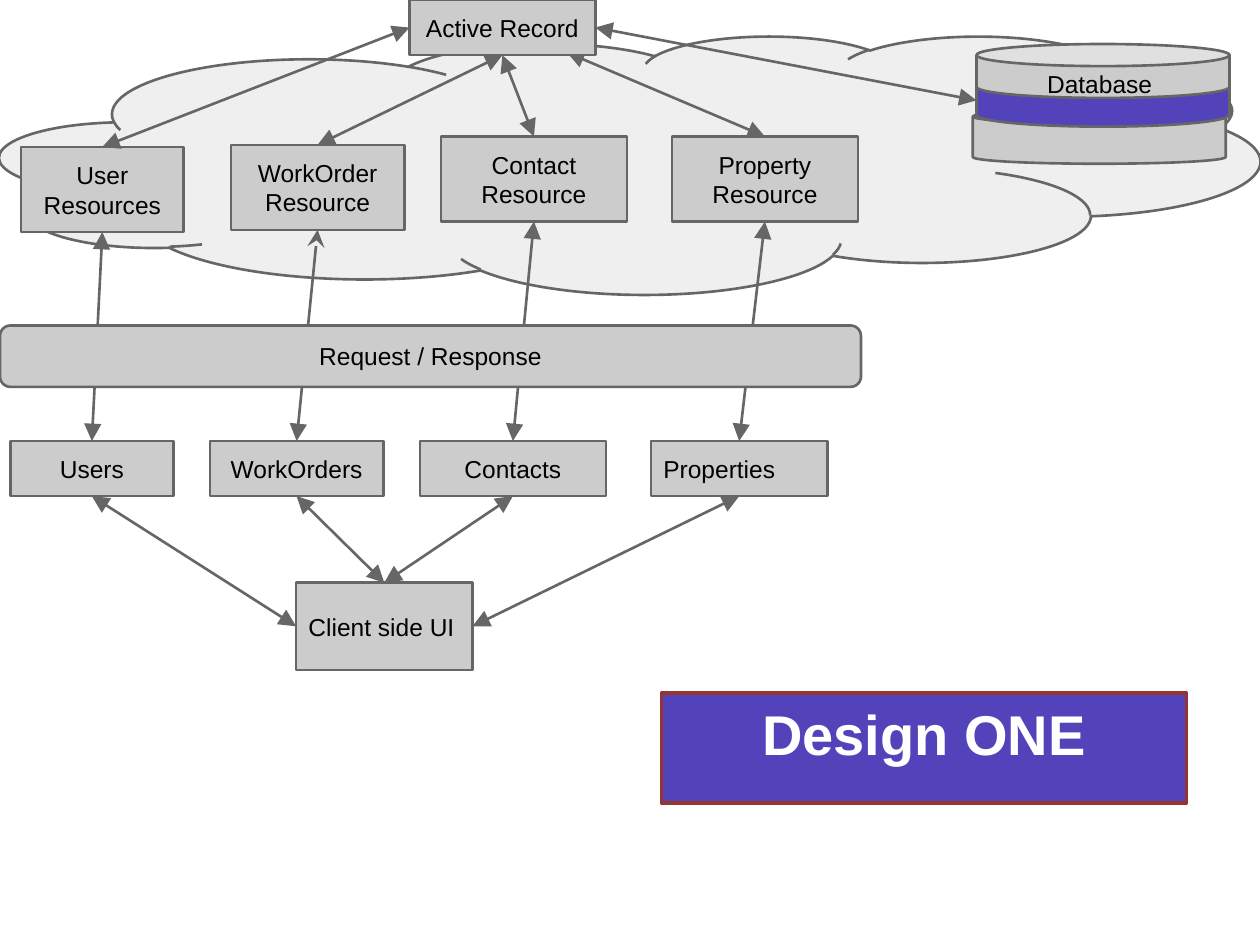
from lxml.etree import SubElement
from pptx import Presentation
from pptx.dml.color import RGBColor
from pptx.enum.shapes import MSO_CONNECTOR as Connector, MSO_SHAPE as Shape
from pptx.enum.text import MSO_ANCHOR as Anchor, PP_ALIGN as Align
from pptx.oxml.ns import qn
from pptx.util import Inches, Pt

BLACK = RGBColor(0, 0, 0)
WHITE = RGBColor(255, 255, 255)
GREY = RGBColor(0xCC, 0xCC, 0xCC)
PALE = RGBColor(0xEF, 0xEF, 0xEF)
EDGE = RGBColor(0x66, 0x66, 0x66)
VIOLET = RGBColor(0x52, 0x43, 0xBB)
MAROON = RGBColor(0x96, 0x33, 0x34)

COLUMNS, ROWS = 120, 90
TOP, LEFT, BOTTOM, RIGHT = range(4)

prs = Presentation()
prs.slide_width, prs.slide_height = Inches(10), Inches(7.5)
slide = prs.slides.add_slide(prs.slide_layouts[6])


def grid(across, down):
    """Turn grid columns and rows into slide lengths."""
    return int(prs.slide_width * across / COLUMNS), int(prs.slide_height * down / ROWS)


def write(holder, text, size=14, color=BLACK, bold=False, align=Align.CENTER,
          anchor=Anchor.MIDDLE, inset=(0.1, 0.1)):
    """Fill a shape with formatted text, one paragraph per line."""
    frame = holder.text_frame
    frame.word_wrap = True
    frame.vertical_anchor = anchor
    frame.margin_left = frame.margin_right = Inches(inset[0])
    frame.margin_top = frame.margin_bottom = Inches(inset[1])
    frame.text = text
    for paragraph in frame.paragraphs:
        paragraph.alignment = align
        font = paragraph.runs[0].font
        font.name, font.size, font.bold = "Arial", Pt(size), bold
        font.color.rgb = color


def block(box, text="", kind=Shape.RECTANGLE, fill=GREY, edge=EDGE, weight=1.5,
          adjust=None, **style):
    """Draw an outlined shape in a grid box, with optional text."""
    shape = slide.shapes.add_shape(kind, *grid(*box[:2]), *grid(*box[2:]))
    shape.shadow.inherit = False
    shape.fill.solid()
    shape.fill.fore_color.rgb = fill
    shape.line.color.rgb = edge
    shape.line.width = Pt(weight)
    if adjust is not None:
        shape.adjustments[0] = adjust
    if text:
        write(shape, text, **style)
    return shape


def link(start, end, head="triangle"):
    """Join two ends, each a (shape, side) pair or a grid point."""
    line = slide.shapes.add_connector(Connector.STRAIGHT, 0, 0, 0, 0)
    line.begin_x, line.begin_y = (0, 0) if hasattr(start[0], "left") else grid(*start)
    line.end_x, line.end_y = (0, 0) if hasattr(end[0], "left") else grid(*end)
    if hasattr(start[0], "left"):
        line.begin_connect(*start)
    if hasattr(end[0], "left"):
        line.end_connect(*end)
    line.line.color.rgb = EDGE
    line.line.width = Pt(1.5)
    outline = line.line._get_or_add_ln()
    for tag, arrow in (("a:headEnd", head), ("a:tailEnd", "triangle")):
        SubElement(outline, qn(tag), type=arrow, w="lg", len="lg")
    SubElement(line._element.spPr, qn("a:effectLst"))


def database(left, top, width, height):
    """Stack three cylinders with a label and return the arrow's target point."""
    disk = height * 0.45
    for shift, drop, fill, adjust in ((-0.36, 0.55, GREY, 0.25),
                                      (0, 0.24, VIOLET, 0.44),
                                      (0, 0, GREY, 0.41)):
        block((left + shift, top + height * drop, width, disk),
              kind=Shape.CAN, fill=fill, adjust=adjust)
    label = slide.shapes.add_textbox(*grid(left + width * 0.23, top + height * 0.1),
                                     *grid(width * 0.54, height * 0.4))
    write(label, "Database", align=Align.LEFT, anchor=Anchor.TOP)
    return left, top + height * 0.47


def row(left, top, height, entries):
    """Place a row of boxes given as text, column, drop, width and alignment."""
    return [block((left + column, top + drop, width, height), text, align=align)
            for text, column, drop, width, align in entries]


def title(box):
    """Draw the design's name plate."""
    block(box, "Design ONE", fill=VIOLET, edge=MAROON, weight=2, size=32,
          color=WHITE, bold=True, anchor=Anchor.TOP, inset=(0.1, 0.05))


block((0, 3.4, COLUMNS, 24.6), kind=Shape.CLOUD, fill=PALE)
store = database(93, 4.2, 24.1, 11.4)
resources = row(2, 13, 8.1, [
    ("User\nResources", 0, 1, 15.5, Align.CENTER),
    ("WorkOrder Resource", 20, 0.8, 16.5, Align.CENTER),
    ("Contact Resource", 40, 0, 17.7, Align.CENTER),
    ("Property Resource", 62, 0, 17.7, Align.CENTER),
])
requests = row(1, 42, 5.25, [
    ("Users", 0, 0, 15.5, Align.CENTER),
    ("WorkOrders", 19, 0, 16.5, Align.CENTER),
    ("Contacts", 39, 0, 17.7, Align.CENTER),
    ("Properties", 61, 0, 16.8, Align.LEFT),
])
heads = ["triangle", "stealth", "triangle", "triangle"]
for resource, request, head in zip(resources, requests, heads):
    link((resource, BOTTOM), (request, TOP), head)
block((0, 31, 82, 5.85), "Request / Response", Shape.ROUNDED_RECTANGLE, adjust=0.17)

link((54, 5), (resources[3], TOP))
record = block((39, 0, 17.7, 5.25), "Active Record")
for side, resource in zip((LEFT, BOTTOM, BOTTOM), resources):
    link((record, side), (resource, TOP))
link((record, RIGHT), store)

client = block((28.2, 55.5, 16.8, 8.3), "Client side UI", align=Align.LEFT)
for side, request in zip((LEFT, TOP, TOP, RIGHT), requests):
    link((client, side), (request, BOTTOM))
title((63, 66, 50, 10.5))

prs.save("out.pptx")
